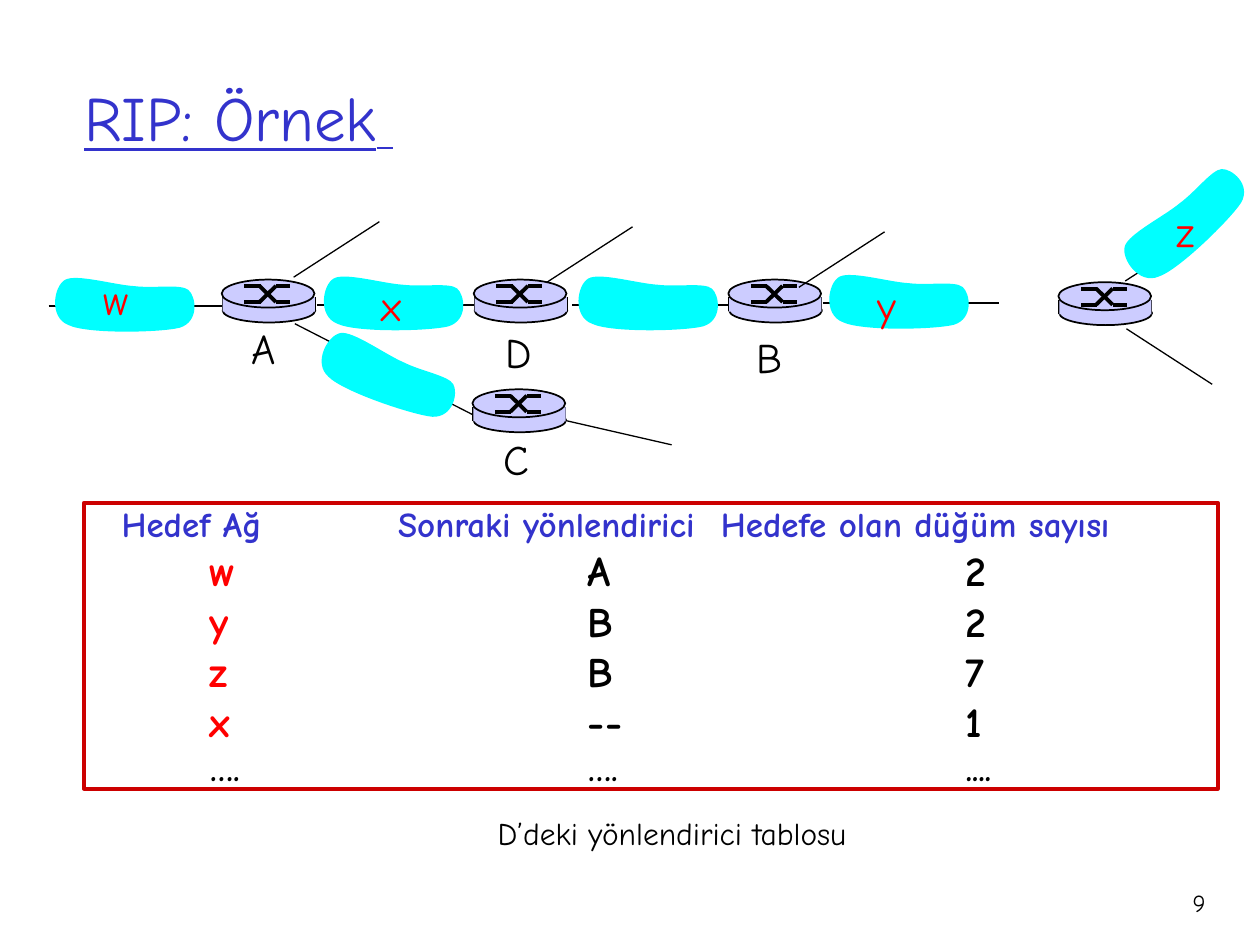
from typing import NamedTuple

from lxml import etree
from pptx import Presentation
from pptx.dml.color import RGBColor
from pptx.enum import shapes, text
from pptx.oxml import ns
from pptx.util import Pt

FACE = "Comic Neue"
BLACK, RED, BLUE = "000000", "FF0000", "3333CC"
CYAN, LILAC, FRAME = "00FFFF", "CCCCFF", "CC0000"


class Spot(NamedTuple):
    x: float
    y: float


class Label(NamedTuple):
    word: str
    x: float
    y: float
    wide: float
    tint: str


class Cloud(NamedTuple):
    x: float
    y: float
    turn: float = 0


class Row(NamedTuple):
    cells: tuple
    tabs: tuple
    size: float
    tints: tuple


TRUNKS = [Spot(181.4, 174.2), Spot(326.9, 174.2), Spot(27.8, 175), Spot(470.2, 173.3)]
TRUNK_LEN, CLOUD_RISE = 100.8, 18.7
ROUTERS = [Spot(126.7, 159.8), Spot(270.7, 159.8), Spot(270, 222.5),
           Spot(416.2, 159.8), Spot(604.8, 161.3)]
RISING = [Spot(167.8, 158.4), Spot(312.5, 161.3), Spot(456.5, 164.2), Spot(643, 160.6)]
RUN, RISE = 49, 31.7
FALLING = [(643.7, 187.9, 643.7 + RUN, 187.9 + RISE), (168.5, 185, 270, 236.9),
           (324, 240.5, 383.8, 254.2)]
CLOUDS = [Cloud(t.x, t.y - CLOUD_RISE) for t in TRUNKS] + [
    Cloud(178.6, 197.3, 19.7), Cloud(633.6, 110.2, 316.8)]
CLOUD_W, CLOUD_H = 86.4, 34.6
START = (49, 7.2)
CURVES = [((37.4, 6.5), (15.8, 0), (9.4, 3.6)), ((2.9, 7.2), (0, 25.2), (11.5, 29.5)),
          ((22.3, 34.6), (63.4, 33.8), (74.9, 31)), ((86.4, 27.4), (84.2, 13), (79.9, 9.4)),
          ((75.6, 5.8), (60.5, 8.6), START)]
LABELS = [
    Label("w", 52.3, 152.6, 28.8, RED), Label("x", 211, 156.2, 25.9, RED),
    Label("y", 494.6, 156.2, 25.2, RED), Label("z", 665.3, 113.8, 24.5, RED),
    Label("A", 136.4, 181, 28.1, BLACK), Label("C", 280.8, 244.1, 28.8, BLACK),
    Label("D", 281.5, 182.9, 29.5, BLACK), Label("B", 425.5, 185.8, 28.8, BLACK)]
STOPS = (72, 288, 504)
MIXED = (RED, BLACK, BLACK)
ROWS = [Row(("Hedef Ağ", "Sonraki yönlendirici", "Hedefe olan düğüm sayısı"),
            (21.5, 179.5, 364), 20, (BLUE,) * 3)]
ROWS += [Row(cells, STOPS, 24, MIXED) for cells in
         [("w", "A", "2"), ("y", "B", "2"), ("z", "B", "7"), ("x", "--", "1")]]
ROWS += [Row(("….", "….", "...."), STOPS, 20, (BLACK,) * 3)]


def hue(code: str) -> RGBColor:
    return RGBColor.from_string(code)


def style(run, size: float, tint: str, bold: bool = False) -> None:
    run.font.name, run.font.size, run.font.bold = FACE, Pt(size), bold
    run.font.color.rgb = hue(tint)


def paint(shape, fill: str | None, edge: str | None, width: float = 1) -> None:
    shape.shadow.inherit = False
    if fill:
        shape.fill.solid()
        shape.fill.fore_color.rgb = hue(fill)
    else:
        shape.fill.background()
    if edge:
        shape.line.color.rgb, shape.line.width = hue(edge), Pt(width)
    else:
        shape.line.fill.background()


def draw_line(tree, x1: float, y1: float, x2: float, y2: float, width: float) -> None:
    line = tree.add_connector(shapes.MSO_CONNECTOR.STRAIGHT, Pt(x1), Pt(y1), Pt(x2), Pt(y2))
    line.line.color.rgb, line.line.width = hue(BLACK), Pt(width)
    etree.SubElement(line._element.spPr, ns.qn("a:effectLst"))


def draw_shape(tree, kind, x: float, y: float, w: float, h: float):
    return tree.add_shape(kind, Pt(x), Pt(y), Pt(w), Pt(h))


def draw_router(tree, at: Spot) -> None:
    x, y = at
    disc, box = shapes.MSO_SHAPE.OVAL, shapes.MSO_SHAPE.RECTANGLE
    group = tree.add_group_shape().shapes
    paint(draw_shape(group, disc, x + 0.5, y + 10.8, 53, 13.7), LILAC, BLACK)
    for side in (0.5, 53.2):
        draw_line(group, x + side, y + 10, x + side, y + 18.2, 1)
    paint(draw_shape(group, box, x + 0.5, y + 10, 52.7, 8.4), LILAC, None)
    paint(draw_shape(group, disc, x, y, 53, 16), LILAC, BLACK)
    high, low = y + 3.6, y + 12.8
    for first, last in ((high, low), (low, high)):
        draw_line(group, x + 13, first, x + 22.3, first, 2.25)
        draw_line(group, x + 21.6, first, x + 31, last, 2.25)
        draw_line(group, x + 31, last, x + 39, last, 2.25)


def add_points(outline, kind: str, *points: tuple) -> None:
    step = etree.SubElement(outline, ns.qn(kind))
    for x, y in points:
        etree.SubElement(step, ns.qn("a:pt"), x=str(int(Pt(x))), y=str(int(Pt(y))))


def draw_cloud(tree, cloud: Cloud) -> None:
    """Size a freeform by its corners, then give it the curved outline."""
    x, y, turn = cloud
    maker = tree.build_freeform(Pt(x), Pt(y))
    maker.add_line_segments([(Pt(x + CLOUD_W), Pt(y)), (Pt(x + CLOUD_W), Pt(y + CLOUD_H))])
    shape = maker.convert_to_shape()
    outline = next(shape._element.iter(ns.qn("a:path")))
    for step in list(outline):
        outline.remove(step)
    add_points(outline, "a:moveTo", START)
    for curve in CURVES:
        add_points(outline, "a:cubicBezTo", *curve)
    add_points(outline, "a:close")
    shape.rotation = turn
    paint(shape, CYAN, None)


def draw_text(tree, label: Label, size: float, high: float = 36, right: bool = False) -> None:
    box = tree.add_textbox(Pt(label.x), Pt(label.y), Pt(label.wide), Pt(high))
    frame = box.text_frame
    frame.text = label.word
    frame.word_wrap = right
    para = frame.paragraphs[0]
    para.alignment = text.PP_ALIGN.RIGHT if right else text.PP_ALIGN.LEFT
    style(para.runs[0], size, label.tint)


def set_tabs(para, stops: tuple) -> None:
    tabs = etree.SubElement(para._p.get_or_add_pPr(), ns.qn("a:tabLst"))
    for stop in stops:
        etree.SubElement(tabs, ns.qn("a:tab"), pos=str(int(Pt(stop))), algn="l")


def draw_routes(tree) -> None:
    box = draw_shape(tree, shapes.MSO_SHAPE.RECTANGLE, 48, 287.3, 648, 163.4)
    paint(box, None, FRAME, 2.25)
    frame = box.text_frame
    frame.margin_left = frame.margin_right = frame.margin_top = frame.margin_bottom = 0
    frame.vertical_anchor, frame.word_wrap = text.MSO_ANCHOR.TOP, True
    for n, row in enumerate(ROWS):
        para = frame.add_paragraph() if n else frame.paragraphs[0]
        set_tabs(para, row.tabs)
        para.alignment = text.PP_ALIGN.LEFT
        for cell, tint in zip(row.cells, row.tints):
            run = para.add_run()
            run.text = "\t" + cell
            style(run, row.size, tint, True)


def set_title(title) -> None:
    title.left, title.top, title.width, title.height = Pt(41), Pt(21.6), Pt(612), Pt(90)
    title.text_frame.vertical_anchor = text.MSO_ANCHOR.MIDDLE
    para = title.text_frame.paragraphs[0]
    para.alignment = text.PP_ALIGN.LEFT
    for words, size in (("RIP: Örnek", 36), (" ", 28)):
        run = para.add_run()
        run.text = words
        style(run, size, BLUE)
        run.font.underline = True


def main() -> None:
    deck = Presentation()
    deck.slide_width, deck.slide_height = Pt(720), Pt(540)
    slide = deck.slides.add_slide(deck.slide_layouts[5])
    tree = slide.shapes
    set_title(tree.title)
    draw_routes(tree)
    for x, y in TRUNKS:
        draw_line(tree, x, y, x + TRUNK_LEN, y, 1)
    for router in ROUTERS:
        draw_router(tree, router)
    for x, y in RISING:
        draw_line(tree, x, y, x + RUN, y - RISE, 0.75)
    for ends in FALLING:
        draw_line(tree, *ends, 0.75)
    for cloud in CLOUDS:
        draw_cloud(tree, cloud)
    for label in LABELS:
        draw_text(tree, label, 24)
    draw_text(tree, Label("D’deki yönlendirici tablosu", 277.2, 461.5, 214.6, BLACK), 18, 28.8)
    draw_text(tree, Label("9", 642.8, 504, 53.3, BLACK), 14, right=True)
    deck.save("out.pptx")


if __name__ == "__main__":
    main()
